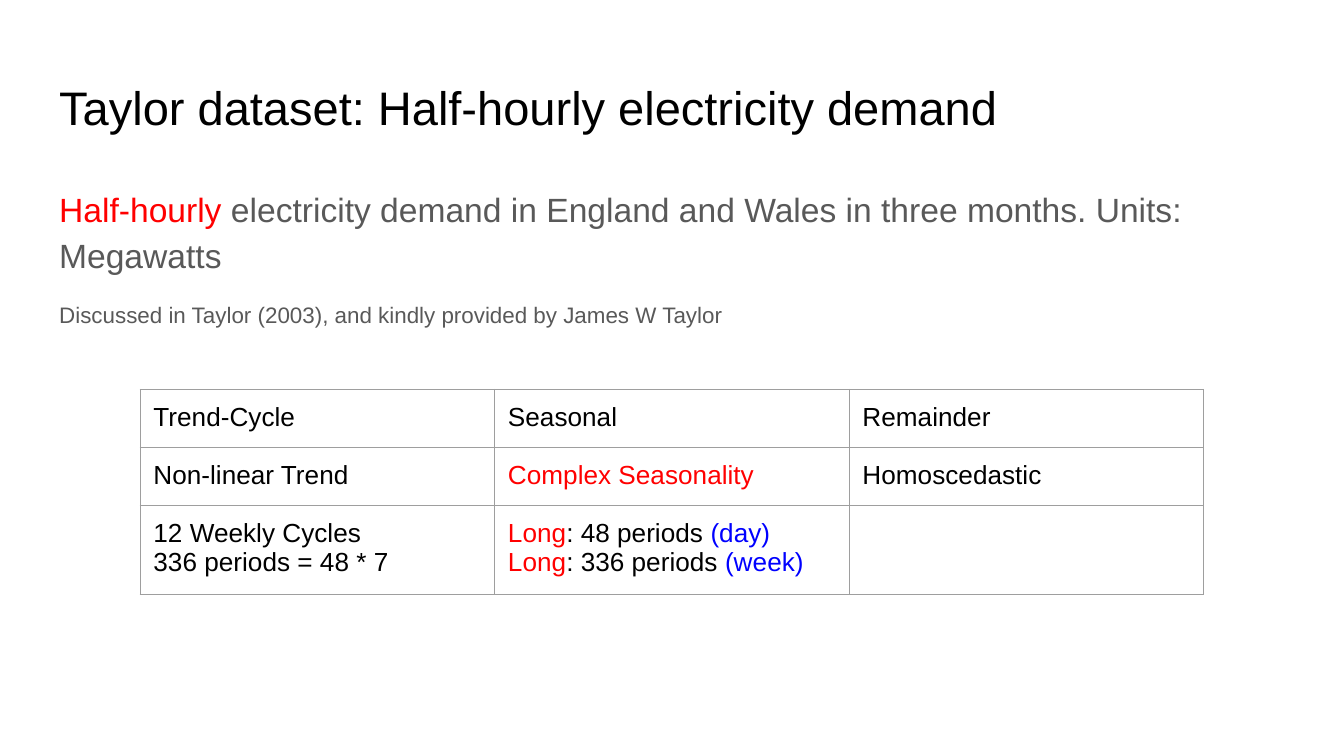
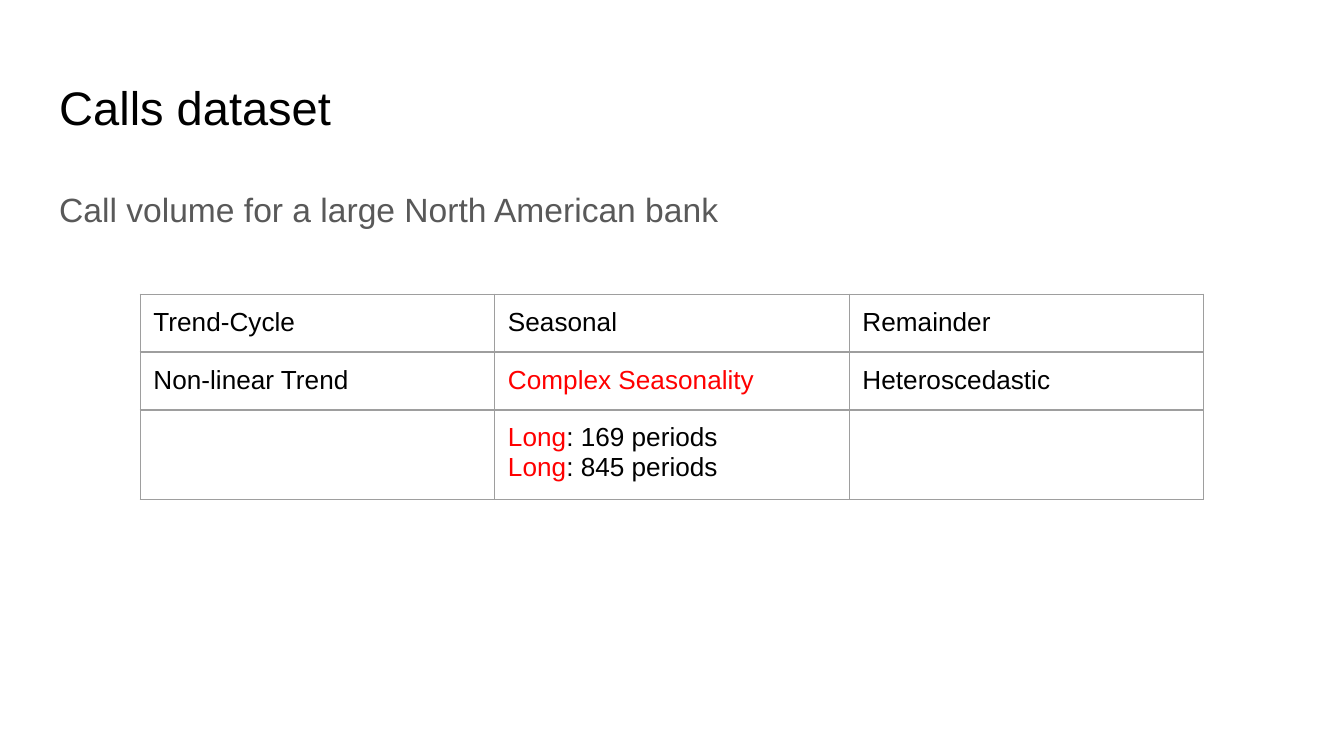
from lxml import etree
from pptx import Presentation
from pptx import util as u
from pptx.dml.color import RGBColor
from pptx.enum import text
from pptx.oxml import ns

FONT = "Arial"
BLACK, GREY, RED, BLUE = "000000", "595959", "FF0000", "0000FF"
BORDER = "9E9E9E"

LEFT, WIDTH = u.Cm(0.87), u.Cm(23.67)
TITLE_TOP, TITLE_HEIGHT = u.Cm(1.24), u.Cm(1.6)
BODY_TOP, BODY_HEIGHT = u.Cm(3.2), u.Cm(9.5)
TABLE_LEFT, COLUMN_WIDTH = u.Cm(2.65), u.Cm(6.7)
ROW_HEIGHTS = [u.Cm(1.06), u.Cm(1.06), u.Cm(1.62)]
INSET = u.Cm(0.25)

HEADERS = ["Trend-Cycle", "Seasonal", "Remainder"]
COMPLEX = [[("Complex Seasonality", RED)]]

SLIDES = [
    {
        "title": "Taylor dataset: Half-hourly electricity demand",
        "body": [
            (18, [("Half-hourly", RED),
                  (" electricity demand in England and Wales in three months. Units: Megawatts", GREY)]),
            (12, [("Discussed in Taylor (2003), and kindly provided by James W Taylor", GREY)]),
        ],
        "table_top": u.Cm(7.36),
        "rows": [
            ["Non-linear Trend", COMPLEX, "Homoscedastic"],
            [
                [[("12 Weekly Cycles", BLACK)], [("336 periods = 48 * 7", BLACK)]],
                [[("Long", RED), (": 48 periods ", BLACK), ("(day)", BLUE)],
                 [("Long", RED), (": 336 periods ", BLACK), ("(week)", BLUE)]],
                "",
            ],
        ],
    },
    {
        "title": "Calls dataset",
        "body": [(18, [("Call volume for a large North American bank", GREY)])],
        "table_top": u.Cm(5.56),
        "rows": [
            ["Non-linear Trend", COMPLEX, "Heteroscedastic"],
            [
                "",
                [[("Long", RED), (": 169 periods", BLACK)],
                 [("Long", RED), (": 845 periods", BLACK)]],
                "",
            ],
        ],
    },
]


def colour(value):
    return RGBColor.from_string(value)


def write_lines(text_frame, lines):
    for index, (size, runs) in enumerate(lines):
        paragraph = text_frame.paragraphs[0] if index == 0 else text_frame.add_paragraph()
        paragraph.font.size = u.Pt(size)
        for content, shade in runs:
            run = paragraph.add_run()
            run.text = content
            run.font.name = FONT
            run.font.size = u.Pt(size)
            run.font.color.rgb = colour(shade)


def add_text(slide, top, height, lines):
    shape = slide.shapes.add_textbox(LEFT, top, WIDTH, height)
    frame = shape.text_frame
    frame.word_wrap = True
    frame.vertical_anchor = text.MSO_ANCHOR.TOP
    frame.margin_left = frame.margin_right = INSET
    frame.margin_top = frame.margin_bottom = INSET
    write_lines(frame, lines)
    return frame


def add_borders(cell):
    properties = cell._tc.get_or_add_tcPr()
    for side in ("a:lnL", "a:lnR", "a:lnT", "a:lnB"):
        line = etree.SubElement(properties, ns.qn(side), w=str(u.Pt(0.75)))
        fill = etree.SubElement(line, ns.qn("a:solidFill"))
        etree.SubElement(fill, ns.qn("a:srgbClr"), val=BORDER)


def add_table(slide, top, rows):
    frame = slide.shapes.add_table(len(rows), len(HEADERS), TABLE_LEFT, top,
                                   COLUMN_WIDTH * len(HEADERS), sum(ROW_HEIGHTS))
    table = frame.table
    table.first_row = table.horz_banding = False
    for column in table.columns:
        column.width = COLUMN_WIDTH
    for row, height, contents in zip(table.rows, ROW_HEIGHTS, rows):
        row.height = height
        for cell, content in zip(row.cells, contents):
            cell.margin_left = cell.margin_right = INSET
            cell.margin_top = cell.margin_bottom = INSET
            add_borders(cell)
            cell.fill.background()
            if isinstance(content, str):
                content = [[(content, BLACK)]] if content else []
            write_lines(cell.text_frame, [(14, runs) for runs in content])


def add_dataset_slide(presentation, data):
    slide = presentation.slides.add_slide(presentation.slide_layouts[6])
    add_text(slide, TITLE_TOP, TITLE_HEIGHT, [(25.2, [(data["title"], BLACK)])])
    body = add_text(slide, BODY_TOP, BODY_HEIGHT, data["body"])
    for index, paragraph in enumerate(body.paragraphs):
        paragraph.line_spacing = 1.15
        paragraph.space_before = u.Pt(12 if index else 0)
    add_table(slide, data["table_top"], [HEADERS] + data["rows"])


def main():
    presentation = Presentation()
    presentation.slide_width, presentation.slide_height = u.Cm(25.4), u.Cm(14.29)
    for data in SLIDES:
        add_dataset_slide(presentation, data)
    presentation.save("out.pptx")


if __name__ == "__main__":
    main()
